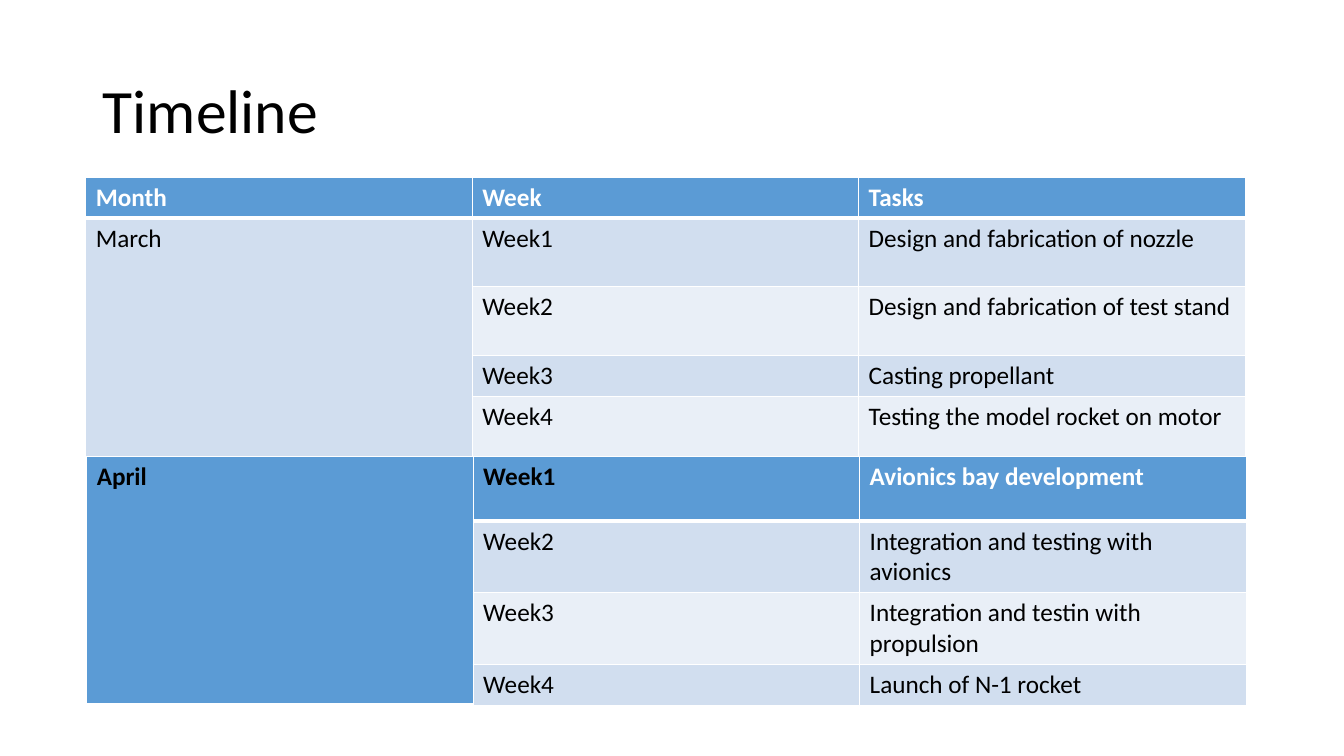
from lxml import etree
from pptx import Presentation
from pptx.dml.color import RGBColor
from pptx.enum.text import MSO_ANCHOR, PP_ALIGN
from pptx.oxml.ns import qn
from pptx.util import Inches, Pt

MIDDLE, LEFT = MSO_ANCHOR.MIDDLE, PP_ALIGN.LEFT
FONT = "Calibri"
COLORS = {"header": "5B9BD5", "odd": "D1DEEF", "even": "E9EFF7",
          "white": "FFFFFF", "black": "000000"}

# Content: first row of each table is its header row
TITLE = "Timeline"
MARCH = {
    "at": (0.85, 1.76),
    "heights": (0.39, 0.68, 0.68, 0.39, 0.68),
    "rows": [("Month", "Week", "Tasks"),
             ("March", "Week1", "Design and fabrication of nozzle"),
             ("", "Week2", "Design and fabrication of test stand"),
             ("", "Week3", "Casting propellant"),
             ("", "Week4", "Testing the model rocket on motor")],
    "month_row": 1,
    "header_text": ("white", "white", "white"),
}
APRIL = {
    "at": (0.86, 4.53),
    "heights": (0.64, 0.68, 0.68, 0.39),
    "rows": [("April", "Week1", "Avionics bay development"),
             ("", "Week2", "Integration and testing with avionics"),
             ("", "Week3", "Integration and testin with propulsion"),
             ("", "Week4", "Launch of N-1 rocket")],
    "month_row": 0,
    "header_text": ("black", "black", "white"),
}
TABLE_WIDTH = 11.5
THIN, THICK = 0.96, 3


def rgb(name):
    return RGBColor.from_string(COLORS[name])


def style_run(run, size, color, bold=False):
    run.font.name, run.font.size, run.font.bold = FONT, Pt(size), bold
    run.font.color.rgb = rgb(color)


def set_borders(cell, bottom):
    properties = cell._tc.get_or_add_tcPr()
    for side, width in zip("LRTB", (THIN, THIN, THIN, bottom)):
        line = etree.SubElement(properties, qn(f"a:ln{side}"), w=str(Pt(width)))
        fill = etree.SubElement(line, qn("a:solidFill"))
        etree.SubElement(fill, qn("a:srgbClr"), val=COLORS["white"])


def add_month(slide, month):
    rows, heights = month["rows"], month["heights"]
    columns = len(rows[0])
    left, top = month["at"]
    table = slide.shapes.add_table(
        len(rows), columns, Inches(left), Inches(top),
        Inches(TABLE_WIDTH), Inches(sum(heights))).table
    table.horz_banding = False
    for column in table.columns:
        column.width = Inches(TABLE_WIDTH / columns)

    for r, (texts, height) in enumerate(zip(rows, heights)):
        table.rows[r].height = Inches(height)
        is_header = r == 0
        band = "header" if is_header else "odd" if r % 2 else "even"
        for c, text in enumerate(texts):
            cell = table.cell(r, c)
            set_borders(cell, THICK if is_header else THIN)
            cell.fill.solid()
            cell.fill.fore_color.rgb = rgb(band)
            cell.text_frame.text = text
            color = month["header_text"][c] if is_header else "black"
            for run in cell.text_frame.paragraphs[0].runs:
                style_run(run, 18, color, is_header)

    # The month name spans all of its weeks
    table.cell(month["month_row"], 0).merge(table.cell(len(rows) - 1, 0))


presentation = Presentation()
presentation.slide_width, presentation.slide_height = Inches(13.33), Inches(7.5)
slide = presentation.slides.add_slide(presentation.slide_layouts[5])

# Title
title = slide.shapes.title
title.left, title.top = Inches(0.92), Inches(0.4)
title.width, title.height = Inches(TABLE_WIDTH), Inches(1.45)
title.text_frame.text = TITLE
title.text_frame.vertical_anchor = MIDDLE
heading = title.text_frame.paragraphs[0]
heading.alignment, heading.line_spacing = LEFT, 0.9
style_run(heading.runs[0], 44, "black")

# Monthly schedules
for month in (MARCH, APRIL):
    add_month(slide, month)

presentation.save("out.pptx")
